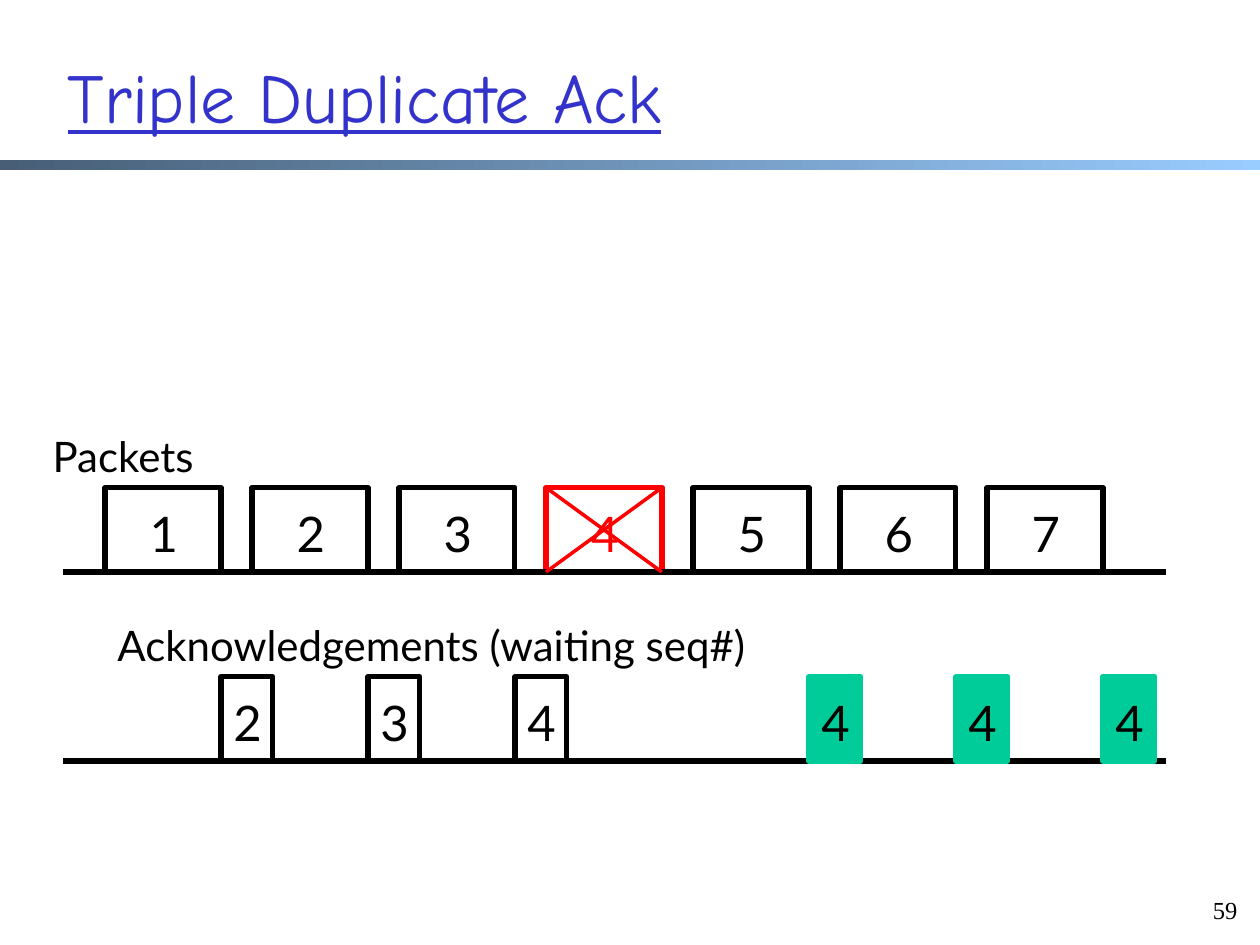
"""Draw packets, acknowledgements and a triple duplicate ack on one slide."""
from dataclasses import dataclass

from lxml import etree
from pptx import Presentation
from pptx import util as u
from pptx.dml.color import RGBColor
from pptx.enum import shapes, text
from pptx.oxml import ns

BLACK = RGBColor(0, 0, 0)
RED = RGBColor(0xFF, 0, 0)
GREEN = RGBColor(0, 0xCC, 0x99)
BLUE = RGBColor(0x33, 0x33, 0xCC)
DARK = RGBColor(0x47, 0x5E, 0x76)
LIGHT = RGBColor(0x99, 0xCC, 0xFF)

WIDE, HIGH = 10, 7.5
LEFT, STEP = WIDE / 12, WIDE * 7 / 60
PACK, ACK, TALL = 0.92, 0.41, 0.67
SENT, BACK = 3.87, 5.37
LOST = 4


@dataclass(frozen=True)
class Cell:
    """A numbered box placed by its column."""
    col: int
    label: str
    ink: RGBColor = BLACK
    edge: RGBColor = BLACK
    fill: RGBColor | None = None


@dataclass(frozen=True)
class Row:
    """A line of boxes with a caption above it."""
    title: str
    inset: float
    span: float
    top: float
    shift: float
    width: float
    cells: list[Cell]


def write(slide, words: str, x: float, y: float, w: float, h: float, *,
          size: float = 28, font: str = "Lato", ink: RGBColor = BLACK,
          align=text.PP_ALIGN.LEFT, anchor=text.MSO_ANCHOR.TOP,
          wrap: bool = False, under: bool = False) -> None:
    """Add a text box."""
    box = slide.shapes.add_textbox(*map(u.Inches, (x, y, w, h)))
    frame = box.text_frame
    frame.word_wrap, frame.vertical_anchor = wrap, anchor
    para = frame.paragraphs[0]
    para.alignment = align
    run = para.add_run()
    run.text = words
    face = run.font
    face.name, face.size, face.underline = font, u.Pt(size), under
    face.color.rgb = ink


def rect(slide, x: float, y: float, w: float, h: float):
    """Add a rectangle without fill, line or shadow."""
    box = slide.shapes.add_shape(
        shapes.MSO_SHAPE.RECTANGLE, *map(u.Inches, (x, y, w, h)))
    box.shadow.inherit = False
    box.fill.background()
    box.line.fill.background()
    return box


def rule(slide, x: float, y: float, right: float, low: float,
         ink: RGBColor = BLACK, thick: float = 3) -> None:
    """Add a straight line."""
    line = slide.shapes.add_connector(
        shapes.MSO_CONNECTOR.STRAIGHT, *map(u.Inches, (x, y, right, low)))
    line.line.color.rgb, line.line.width = ink, u.Pt(thick)
    etree.SubElement(line._element.spPr, ns.qn("a:effectLst"))


def place(slide, cell: Cell, row: Row) -> None:
    """Draw one box of a row with its number."""
    x = LEFT + cell.col * STEP + row.shift
    box = rect(slide, x, row.top, row.width, TALL)
    box.line.color.rgb, box.line.width = cell.edge, u.Pt(3)
    if cell.fill is not None:
        box.fill.solid()
        box.fill.fore_color.rgb = cell.fill
    write(slide, cell.label, x + (row.width - ACK) / 2, row.top + 0.08,
          ACK, 0.57, ink=cell.ink)


def draw(slide, row: Row) -> None:
    """Draw a caption, a time line and its boxes."""
    base = row.top + TALL
    write(slide, row.title, row.inset, row.top - 0.5, row.span, 0.5, size=24)
    plain = [cell for cell in row.cells if cell.fill is None]
    for cell in plain:
        place(slide, cell, row)
    rule(slide, WIDE * 0.05, base, WIDE * 0.925, base)
    for cell in row.cells:
        if cell not in plain:
            place(slide, cell, row)


def head(slide) -> None:
    """Draw the title, the band and the page number."""
    band = rect(slide, 0, 1.27, WIDE, 0.08)
    band.fill.gradient()
    band.fill.gradient_angle = 0
    for stop, tint in zip(band.fill.gradient_stops, (DARK, LIGHT)):
        stop.color.rgb = tint
    write(slide, "Triple Duplicate Ack", 0.44, 0.25, 8.5, 0.89, size=40,
          font="Comic Neue", ink=BLUE, wrap=True, under=True,
          anchor=text.MSO_ANCHOR.BOTTOM)
    write(slide, "59", 9.46, 7.05, 0.46, 0.38, size=14, wrap=True,
          font="Times New Roman", align=text.PP_ALIGN.RIGHT)


def main() -> None:
    """Build and save the slide."""
    deck = Presentation()
    deck.slide_width, deck.slide_height = u.Inches(WIDE), u.Inches(HIGH)
    slide = deck.slides.add_slide(deck.slide_layouts[6])
    head(slide)

    packs, acks = [], []
    for col in range(7):
        num = col + 1
        ink = RED if num == LOST else BLACK
        packs.append(Cell(col, str(num), ink, ink))
        if num < LOST:
            acks.append(Cell(col, str(num + 1)))
        elif num > LOST:
            acks.append(Cell(col, str(LOST), BLACK, GREEN, GREEN))
    draw(slide, Row("Packets", 0.32, 1.32, SENT, 0, PACK, packs))
    draw(slide, Row("Acknowledgements (waiting seq#)", LEFT, 5.31,
                    BACK, PACK, ACK, acks))

    x, low = LEFT + (LOST - 1) * STEP, SENT + TALL
    rule(slide, x, low, x + PACK, SENT, RED, 2)
    rule(slide, x, SENT, x + PACK, low, RED, 2)
    deck.save("out.pptx")


if __name__ == "__main__":
    main()
